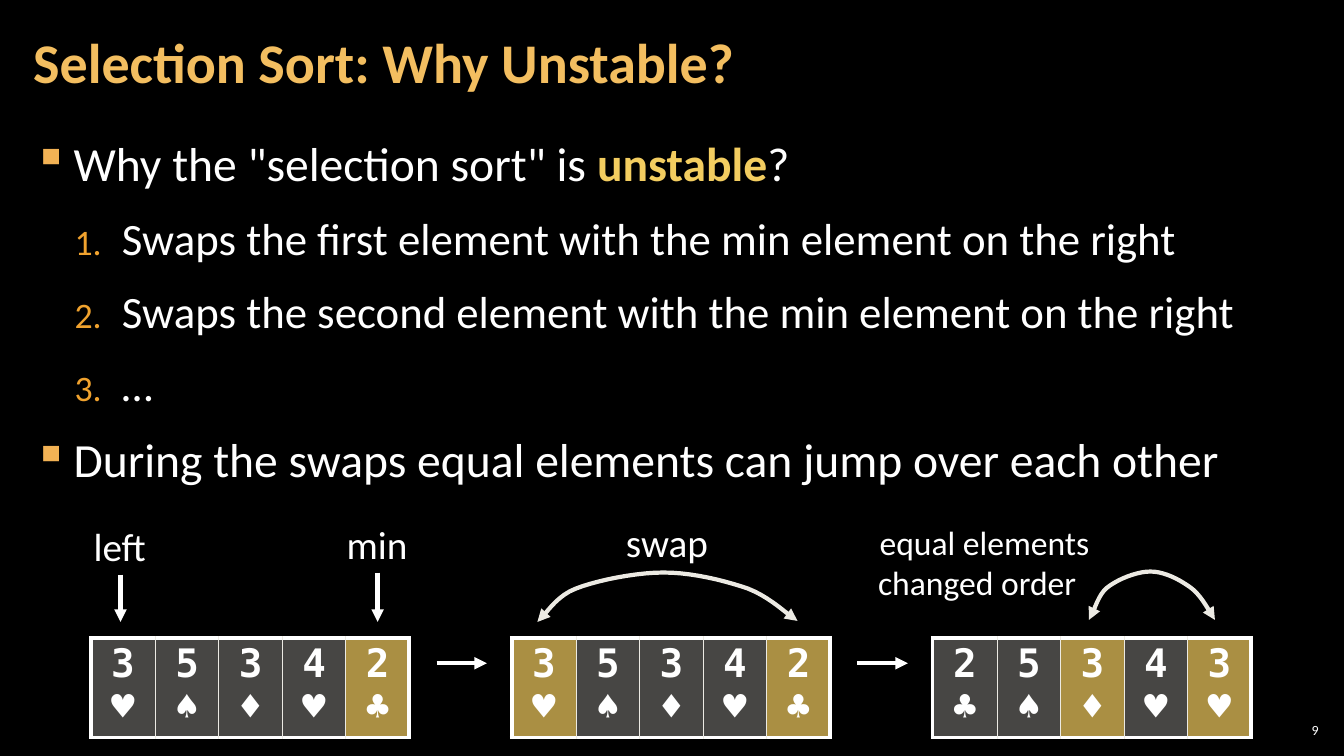
"""Build a slide explaining why selection sort is unstable."""
from dataclasses import dataclass

from lxml.etree import SubElement
from pptx import Presentation
from pptx.dml.color import RGBColor
from pptx.enum.shapes import MSO_CONNECTOR
from pptx.enum.text import MSO_ANCHOR, MSO_AUTO_SIZE, PP_ALIGN
from pptx.oxml import parse_xml
from pptx.oxml.ns import nsdecls, qn
from pptx.util import Inches, Pt


@dataclass(frozen=True)
class Theme:
    background: str = "000000"
    text: str = "FFFFFF"
    title: str = "F3BE60"
    bullet: str = "F2B254"
    number: str = "F0A22E"
    highlight: str = "F3CD60"
    pale: str = "ECEAE3"
    font: str = "Calibri"
    card_font: str = "DejaVu Sans Mono"
    title_size: int = 40
    point_size: int = 34
    step_size: int = 32
    label_size: int = 28
    note_size: int = 24
    page_size: int = 10


theme = Theme()


def style_runs(paragraph, size, color=theme.text, bold=False, font=theme.font):
    for run in paragraph.runs:
        run.font.name = font
        run.font.size = Pt(size)
        run.font.bold = bold
        run.font.color.rgb = RGBColor.from_string(color)


def style_arrow(arrow, color, ends):
    arrow.line.color.rgb = RGBColor.from_string(color)
    arrow.line.width = Pt(3)
    for end in ends:
        SubElement(arrow.line._get_or_add_ln(), qn(f"a:{end}"), type="triangle")


presentation = Presentation()
presentation.slide_width = Inches(13.33)
presentation.slide_height = Inches(7.5)
slide = presentation.slides.add_slide(presentation.slide_layouts[6])
slide.background.fill.solid()
slide.background.fill.fore_color.rgb = RGBColor.from_string(theme.background)
shapes = slide.shapes

title = shapes.add_textbox(Inches(0.21), Inches(0.04), Inches(10.47), Inches(1.21))
body = shapes.add_textbox(Inches(0.21), Inches(1.26), Inches(12.91), Inches(6.09))
page = shapes.add_textbox(Inches(12.65), Inches(7.14), Inches(0.47), Inches(0.21))
for area, side in ((title, 0.12), (body, 0.12), (page, 0.04)):
    frame = area.text_frame
    frame.word_wrap = True
    frame.margin_left = frame.margin_right = Inches(side)
    frame.margin_top = frame.margin_bottom = Inches(0.04)

title.text_frame.text = "Selection Sort: Why Unstable?"
title.text_frame.vertical_anchor = MSO_ANCHOR.MIDDLE
title.text_frame.paragraphs[0].line_spacing = 0.9
style_runs(title.text_frame.paragraphs[0], theme.title_size, theme.title, True)

page.text_frame.text = "9"
page.text_frame.vertical_anchor = MSO_ANCHOR.MIDDLE
page.text_frame.paragraphs[0].alignment = PP_ALIGN.RIGHT
style_runs(page.text_frame.paragraphs[0], theme.page_size)

points = [
    (0, ['Why the "selection sort" is ', "unstable", "?"]),
    (1, ["Swaps the first element with the min element on the right"]),
    (1, ["Swaps the second element with the min element on the right"]),
    (1, ["…"]),
    (0, ["During the swaps equal elements can jump over each other"]),
]
body.text_frame.text = "\n".join("" for _ in points)
for paragraph, (level, parts) in zip(body.text_frame.paragraphs, points):
    for part in parts:
        paragraph.add_run().text = part
    style_runs(paragraph, theme.step_size if level else theme.point_size)
    paragraph.level = level
    paragraph.line_spacing = 1.05
    paragraph.space_before = paragraph.space_after = Pt(6)
    properties = paragraph._p.get_or_add_pPr()
    left, hanging = (0.88, 0.47) if level else (0.4, 0.4)
    properties.set("marL", str(Inches(left)))
    properties.set("indent", str(-Inches(hanging)))
    marker_color = SubElement(properties, qn("a:buClr"))
    SubElement(marker_color, qn("a:srgbClr"), val=theme.number if level else theme.bullet)
    if level:
        SubElement(properties, qn("a:buSzPct"), val="80000")
        SubElement(properties, qn("a:buFont"), typeface=theme.font)
        SubElement(properties, qn("a:buAutoNum"), type="arabicPeriod")
    else:
        SubElement(properties, qn("a:buChar"), char="▪")
unstable = body.text_frame.paragraphs[0].runs[1].font
unstable.bold = True
unstable.color.rgb = RGBColor.from_string(theme.highlight)

hands = [
    (["3♥", "5♠", "3♦", "4♥", "2♣"], {4}),
    (["3♥", "5♠", "3♦", "4♥", "2♣"], {0, 4}),
    (["2♣", "5♠", "3♦", "4♥", "3♥"], {2, 4}),
]
hand_left, hand_step = 0.9, 4.175
for position, (cards, highlighted) in enumerate(hands):
    hand = shapes.add_table(
        1, len(cards), Inches(hand_left + hand_step * position), Inches(6.33),
        Inches(3.17), Inches(0.41)).table
    hand.first_row = hand.horz_banding = False
    hand.rows[0].height = Inches(0.41)
    last = len(cards) - 1
    for index, card in enumerate(cards):
        hand.columns[index].width = Inches(0.63 if index else 0.64)
        cell = hand.cell(0, index)
        cell.text_frame.text = card
        paragraph = cell.text_frame.paragraphs[0]
        paragraph.alignment = PP_ALIGN.CENTER
        paragraph.line_spacing = 0.95
        style_runs(paragraph, theme.label_size, bold=True, font=theme.card_font)
        chosen = index in highlighted
        cell.fill.solid()
        cell.fill.fore_color.rgb = RGBColor.from_string(theme.highlight if chosen else theme.pale)
        cell_properties = cell._tc.get_or_add_tcPr()
        tint = cell_properties.find(".//" + qn("a:srgbClr"))
        SubElement(tint, qn("a:alpha"), val="70000" if chosen else "30000")
        outer_sides = {"lnL": index == 0, "lnR": index == last, "lnT": True, "lnB": True}
        for order, (side, outer) in enumerate(outer_sides.items()):
            color, width = (theme.text, 3) if outer else (theme.pale, 1)
            cell_properties.insert(order, parse_xml(
                f'<a:{side} {nsdecls("a")} w="{Pt(width)}"><a:solidFill>'
                f'<a:srgbClr val="{color}"/></a:solidFill></a:{side}>'))

labels = [
    ("left", 0.83, 5.13, 0.73, 0.57, theme.label_size, True),
    ("min", 3.34, 5.11, 0.81, 0.57, theme.label_size, True),
    ("swap", 6.11, 5.09, 1.02, 0.57, theme.label_size, False),
    ("equal elements\nchanged order", 8.61, 5.13, 2.31, 0.91, theme.note_size, False),
]
arrows = []
for text, left, top, width, height, size, has_pointer in labels:
    label = shapes.add_textbox(Inches(left), Inches(top), Inches(width), Inches(height))
    label.text_frame.word_wrap = False
    label.text_frame.auto_size = MSO_AUTO_SIZE.SHAPE_TO_FIT_TEXT
    label.text_frame.text = text
    for paragraph in label.text_frame.paragraphs:
        style_runs(paragraph, size)
    if "\n" in text:
        label.text_frame.paragraphs[0].alignment = PP_ALIGN.CENTER
    if has_pointer:
        center = Inches(left + width / 2)
        pointer = shapes.add_connector(
            MSO_CONNECTOR.STRAIGHT, center, Inches(5.67), center, Inches(6.17))
        pointer.begin_connect(label, 2)
        arrows.append(pointer)

for gap in range(len(hands) - 1):
    start = 4.33 + hand_step * gap
    arrows.append(shapes.add_connector(
        MSO_CONNECTOR.STRAIGHT, Inches(start), Inches(6.58), Inches(start + 0.5), Inches(6.58)))
for arrow in arrows:
    style_arrow(arrow, theme.text, ["tailEnd"])
    SubElement(arrow._element.spPr, qn("a:effectLst"))

swap_arc = [
    (5.33, 6.17), (5.4, 6.12), (5.5, 5.92), (5.71, 5.84), (5.91, 5.76), (6.3, 5.68), (6.58, 5.68),
    (6.87, 5.68), (7.19, 5.76), (7.42, 5.84), (7.65, 5.93), (7.81, 6.1), (7.91, 6.16),
]
order_arc = [
    (10.8, 6.15), (10.84, 6.11), (10.88, 5.91), (10.98, 5.83), (11.08, 5.75), (11.27, 5.67),
    (11.41, 5.67), (11.55, 5.67), (11.7, 5.75), (11.81, 5.83), (11.92, 5.91), (12, 6.08), (12.05, 6.15),
]
steps = 10
for arc in (swap_arc, order_arc):
    curve = []
    for first in range(0, len(arc) - 1, 3):
        for step in range(1, steps + 1):
            t = step / steps
            weights = ((1 - t) ** 3, 3 * t * (1 - t) ** 2, 3 * t * t * (1 - t), t ** 3)
            controls = zip(*arc[first:first + 4])
            curve.append(tuple(
                Inches(sum(w * c for w, c in zip(weights, axis))) for axis in controls))
    builder = shapes.build_freeform(Inches(arc[0][0]), Inches(arc[0][1]))
    builder.add_line_segments(curve, close=False)
    swap_arrow = builder.convert_to_shape()
    swap_arrow.shadow.inherit = False
    swap_arrow.fill.background()
    style_arrow(swap_arrow, theme.pale, ["headEnd", "tailEnd"])

presentation.save("out.pptx")
